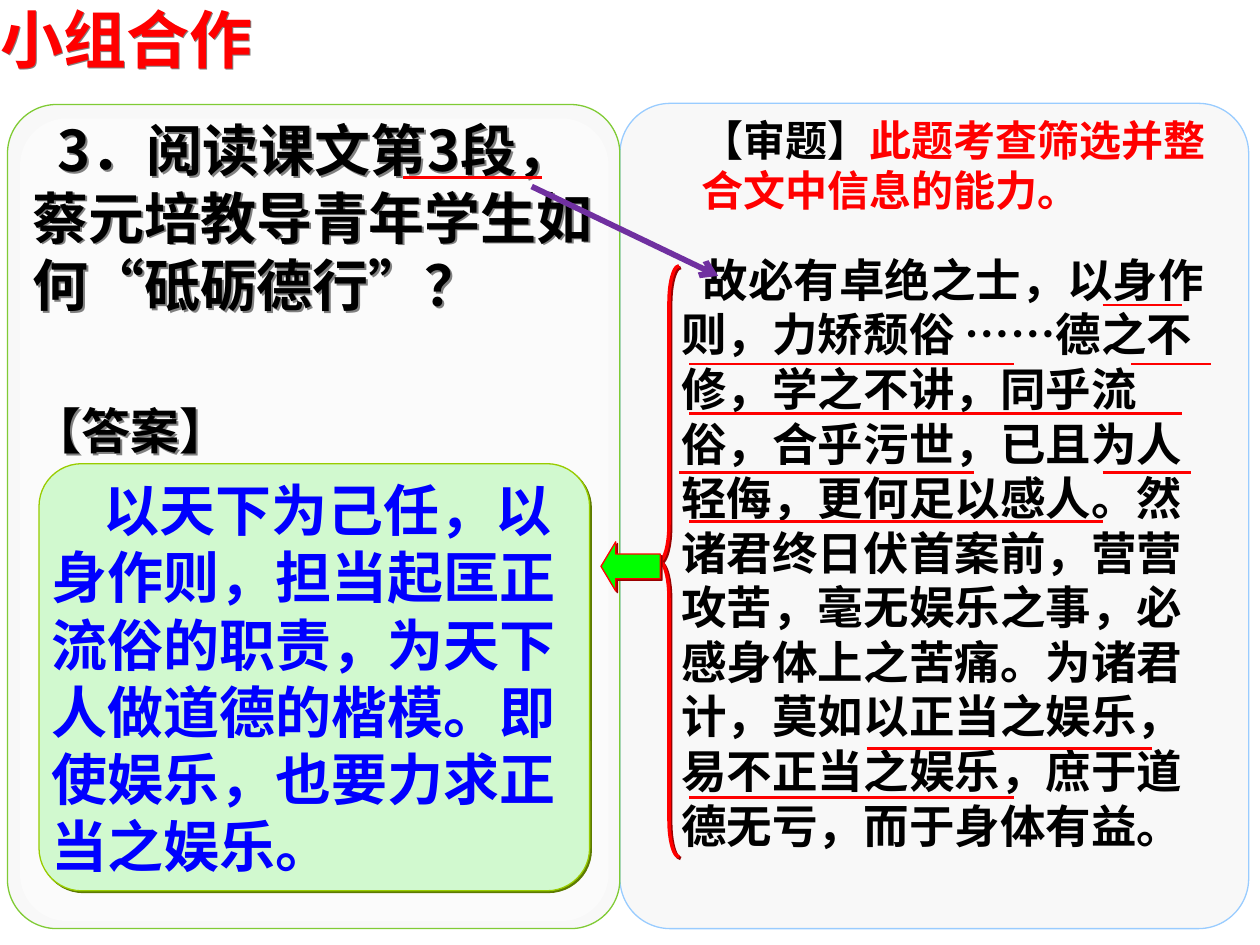
"""Build a reading-comprehension slide with a question, its answer and the marked passage."""
from lxml.etree import SubElement
from pptx import Presentation
from pptx.dml.color import RGBColor
from pptx.enum.shapes import MSO_CONNECTOR, MSO_SHAPE
from pptx.enum.text import MSO_ANCHOR, PP_ALIGN
from pptx.oxml.ns import qn
from pptx.util import Inches, Pt

COLORS = {
    "red": "FF0000", "black": "000000", "blue": "0000FF", "purple": "7030A0",
    "panel": "F8F8F8", "glow": "FBFBFB", "sky": "99CCFF", "leaf": "80CB35",
    "mint": "D1F9CF", "lime": "99CC00", "green": "00FF00",
    "olive": "5C7A00", "maroon": "990000", "gray": "808080",
}
CJK = "Noto Sans CJK SC"


def add_shadow(shape, color):
    properties = shape._element.spPr
    effects = properties.find(qn("a:effectLst"))
    if effects is None:
        effects = SubElement(properties, qn("a:effectLst"))
    shadow = SubElement(effects, qn("a:outerShdw"), dist=str(Pt(1.4)), dir="2700000", algn="ctr", rotWithShape="0")
    SubElement(shadow, qn("a:srgbClr"), val=COLORS[color])


def write_text(shape, runs, size, font, anchor=MSO_ANCHOR.TOP, margins=(0.1, 0.05), indent=0):
    frame = shape.text_frame
    frame.word_wrap = True
    frame.vertical_anchor = anchor
    frame.margin_left = frame.margin_right = Inches(margins[0])
    frame.margin_top = frame.margin_bottom = Inches(margins[1])
    paragraph = frame.paragraphs[0]
    paragraph.alignment = PP_ALIGN.LEFT
    paragraph.space_before = Pt(0)
    properties = paragraph._p.get_or_add_pPr()
    properties.set("marL", "0")
    properties.set("indent", str(Inches(indent)))
    properties.set("hangingPunct", "0")
    for text, color in runs:
        run = paragraph.add_run()
        run.text = text
        run.font.size = Pt(size)
        run.font.bold = True
        run.font.color.rgb = RGBColor.from_string(COLORS[color])
        run.font.name = font
        run_properties = run._r.get_or_add_rPr()
        run_properties.set("lang", "zh-CN")
        SubElement(run_properties, qn("a:ea"), typeface=CJK)


presentation = Presentation()
presentation.slide_width = Inches(10)
presentation.slide_height = Inches(7.5)
slide = presentation.slides.add_slide(presentation.slide_layouts[5])
shapes = slide.shapes

title = shapes.title
title.left, title.top, title.width, title.height = Inches(0), Inches(0), Inches(3.35), Inches(0.6)
write_text(title, [("小组合作", "red")], 36, "Arial", margins=(0, 0))
title.fill.background()
add_shadow(title, "gray")

drawn = {}
for name, kind, box, adjustments, fill, line, width, shadow in [
    ("passage panel", MSO_SHAPE.ROUNDED_RECTANGLE, (4.92, 0.82, 4.99, 6.55), [0.08], "panel", "sky", 0.75, None),
    ("question panel", MSO_SHAPE.ROUNDED_RECTANGLE, (0.06, 0.83, 4.86, 6.54), [0.08], "panel", "leaf", 0.75, None),
    ("question glow", MSO_SHAPE.ROUNDED_RECTANGLE, (0.16, 0.94, 4.67, 6.37), [0.08], "glow", None, 0, None),
    ("answer", MSO_SHAPE.ROUNDED_RECTANGLE, (0.31, 3.68, 4.37, 3.39), [0.1], "mint", "lime", 0.75, "olive"),
    ("brace", MSO_SHAPE.LEFT_BRACE, (5.23, 2.11, 0.16, 4.69), [1.83, 0.5], None, "red", 2, "maroon"),
    ("arrow", MSO_SHAPE.LEFT_ARROW, (4.77, 4.3, 0.47, 0.39), [0.5, 0.3], "green", "red", 0.75, "maroon"),
]:
    shape = shapes.add_shape(kind, *map(Inches, box))
    shape.shadow.inherit = False
    for index, value in enumerate(adjustments):
        shape.adjustments[index] = value
    if fill:
        shape.fill.solid()
        shape.fill.fore_color.rgb = RGBColor.from_string(COLORS[fill])
    else:
        shape.fill.background()
    if line:
        shape.line.color.rgb = RGBColor.from_string(COLORS[line])
        shape.line.width = Pt(width)
    else:
        shape.line.fill.background()
    if shadow:
        add_shadow(shape, shadow)
    drawn[name] = shape

write_text(
    drawn["answer"],
    [("以天下为己任，以身作则，担当起匡正流俗的职责，为天下人做道德的楷模。即使娱乐，也要力求正当之娱乐。", "blue")],
    32, "Arial", MSO_ANCHOR.MIDDLE, (0, 0), 0.41,
)

passage = (
    "故必有卓绝之士，以身作则，力矫颓俗 ……德之不修，学之不讲，同乎流俗，合乎污世，"
    "已且为人轻侮，更何足以感人。然诸君终日伏首案前，营营攻苦，毫无娱乐之事，"
    "必感身体上之苦痛。为诸君计，莫如以正当之娱乐，易不正当之娱乐，庶于道德无亏，而于身体有益。"
)
for box, runs, size, anchor, indent, shadow in [
    ((0.16, 0.87, 4.69, 1.7), [("3．阅读课文第3段，蔡元培教导青年学生如何“砥砺德行”？", "black")],
     32, MSO_ANCHOR.MIDDLE, 0.2, "gray"),
    ((5.31, 1.95, 4.45, 4.87), [(passage, "black")], 26, MSO_ANCHOR.TOP, 0.17, None),
    ((5.47, 0.86, 4.37, 0.9), [("【审题】", "black"), ("此题考查筛选并整合文中信息的能力。", "red")],
     24, MSO_ANCHOR.TOP, 0, None),
    ((0.16, 3.13, 1.95, 0.57), [("【答案】", "black")], 28, MSO_ANCHOR.TOP, 0, "gray"),
]:
    text_box = shapes.add_textbox(*map(Inches, box))
    write_text(text_box, runs, size, CJK, anchor, indent=indent)
    if shadow:
        add_shadow(text_box, shadow)

underlines = [
    (3.2, 4.3, 1.41), (8.75, 9.38, 2.42), (5.47, 8.05, 2.89), (8.98, 9.61, 2.89),
    (5.47, 9.38, 3.28), (5.39, 7.73, 3.75), (8.75, 9.45, 3.75), (5.47, 8.75, 4.14),
    (6.88, 9.14, 5.94), (5.47, 8.05, 6.33),
]
lines = [(left, y, right, y, "red", 1.5) for left, right, y in underlines]
lines.append((4.22, 1.48, 5.7, 2.19, "purple", 3.25))
for *ends, color, width in lines:
    connector = shapes.add_connector(MSO_CONNECTOR.STRAIGHT, *map(Inches, ends))
    connector.line.color.rgb = RGBColor.from_string(COLORS[color])
    connector.line.width = Pt(width)
    SubElement(connector._element.spPr, qn("a:effectLst"))
    if color == "purple":
        SubElement(connector.line._get_or_add_ln(), qn("a:tailEnd"), type="arrow")

presentation.save("out.pptx")
